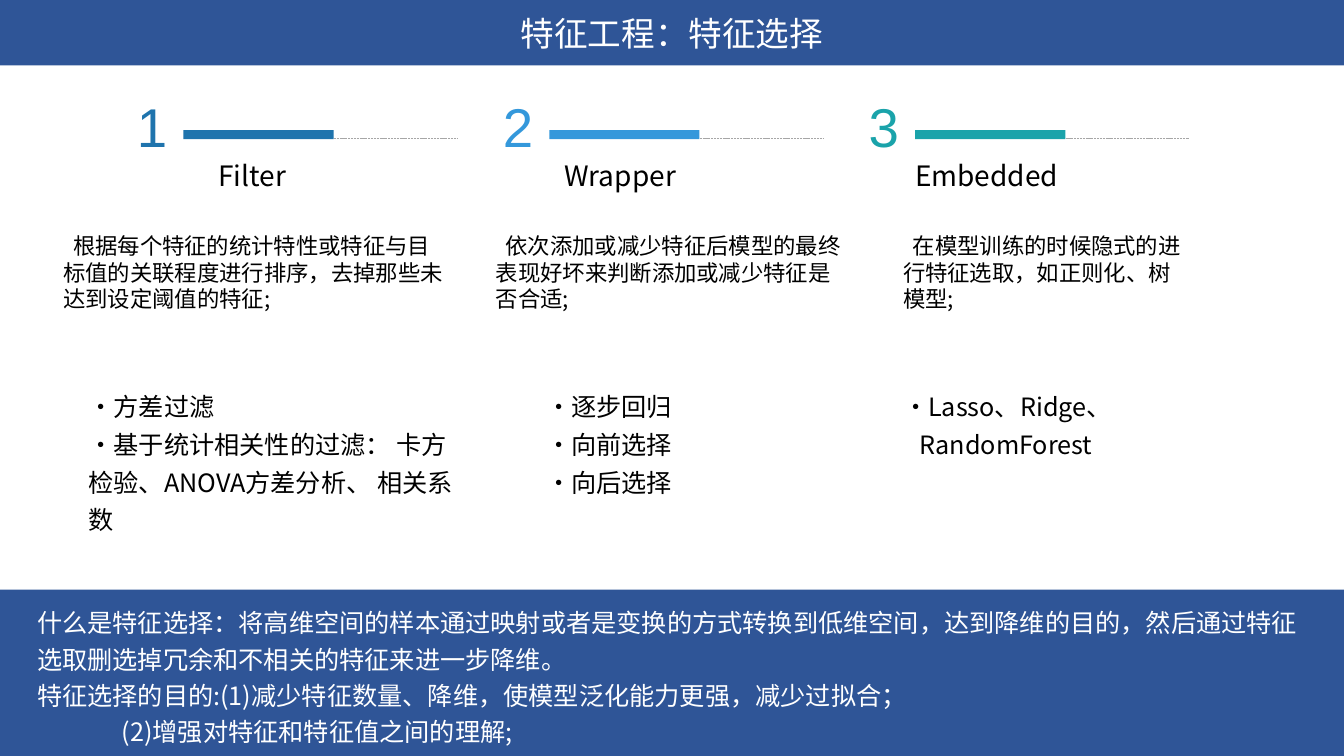
import dataclasses

import pptx
import pptx.dml.color
import pptx.enum.dml
import pptx.enum.shapes
import pptx.enum.text
import pptx.oxml.ns
import pptx.util

Pt = pptx.util.Pt
RGB = pptx.dml.color.RGBColor.from_string
ALIGN = pptx.enum.text.PP_ALIGN
ANCHOR = pptx.enum.text.MSO_ANCHOR
qn = pptx.oxml.ns.qn


@dataclasses.dataclass(frozen=True)
class Theme:
    band: str = "2F5597"
    light: str = "FFFFFF"
    dark: str = "000000"
    rule: str = "A6A6A6"
    font: str = "Noto Sans CJK SC"
    number_font: str = "Arial"
    title: int = 24
    number: int = 39
    heading: int = 20
    body: int = 18
    summary: int = 16


THEME = Theme()
WIDTH, HEIGHT = 960, 540
COLUMN_LEFT, COLUMN_TOP, COLUMN_PITCH = 90.72, 46.8, 261.36

# Per column: (offset from the column's left edge, width) of each text
COLUMNS = [
    dict(number="1", color="1F74AD", name="Filter", name_at=(58.3, 67),
         summary="根据每个特征的统计特性或特征与目标值的关联程度进行排序，去掉那些未达到设定阈值的特征;",
         summary_at=(-52.6, 288.7),
         methods=[("·方差过滤", 0),
                  ("·基于统计相关性的过滤： 卡方检验、ANOVA方差分析、 相关系数", 0)],
         methods_at=(-34.6, 277.9)),
    dict(number="2", color="3498DB", name="Wrapper", name_at=(43.9, 99.4),
         summary="依次添加或减少特征后模型的最终表现好坏来判断添加或减少特征是否合适;",
         summary_at=(-5, 267.1),
         methods=[("·逐步回归", 0), ("·向前选择", 0), ("·向后选择", 0)],
         methods_at=(31, 125.3)),
    dict(number="3", color="1AA3AA", name="Embedded", name_at=(33.1, 122.4),
         summary="在模型训练的时候隐式的进行特征选取，如正则化、树模型;",
         summary_at=(24.5, 215.3),
         methods=[("·Lasso、Ridge、", 0), ("RandomForest", 12)],
         methods_at=(24.5, 180.7)),
]
PURPOSE = [
    ("什么是特征选择：将高维空间的样本通过映射或者是变换的方式转换到低维空间，达到降维的目的，"
     "然后通过特征选取删选掉冗余和不相关的特征来进一步降维。", 0),
    ("特征选择的目的:(1)减少特征数量、降维，使模型泛化能力更强，减少过拟合；", 0),
    ("(2)增强对特征和特征值之间的理解;", 60.5),
]


def add_run(paragraph, text, size, color, font=THEME.font):
    run = paragraph.add_run()
    run.text = text
    run.font.size = Pt(size)
    run.font.name = font
    run.font.color.rgb = RGB(color)
    properties = run.font._element
    east_asian = properties.makeelement(qn("a:ea"), {"typeface": font})
    properties.find(qn("a:latin")).addnext(east_asian)
    return run


def add_text(slide, box, lines, size, color=THEME.dark, spacing=1.0):
    """Lines are pairs of text and first-line indent."""
    frame = slide.shapes.add_textbox(*map(Pt, box)).text_frame
    frame.word_wrap = True
    for index, (text, indent) in enumerate(lines):
        paragraph = frame.add_paragraph() if index else frame.paragraphs[0]
        paragraph.line_spacing = spacing
        if indent:
            paragraph._p.get_or_add_pPr().set("indent", str(Pt(indent)))
        add_run(paragraph, text, size, color)


def add_block(slide, box, color):
    block = slide.shapes.add_shape(
        pptx.enum.shapes.MSO_SHAPE.RECTANGLE, *map(Pt, box))
    block.shadow.inherit = False
    block.fill.solid()
    block.fill.fore_color.rgb = RGB(color)
    block.line.fill.background()


def add_dashed_rule(slide, left, top, width):
    rule = slide.shapes.add_connector(
        pptx.enum.shapes.MSO_CONNECTOR.STRAIGHT,
        Pt(left), Pt(top), Pt(left + width), Pt(top))
    rule.line.color.rgb = RGB(THEME.rule)
    rule.line.width = Pt(0.5)
    rule.line.dash_style = pptx.enum.dml.MSO_LINE.SQUARE_DOT
    properties = rule._element.spPr
    properties.append(properties.makeelement(qn("a:effectLst"), {}))


def add_number(slide, left, top, number, color):
    frame = slide.shapes.add_textbox(
        Pt(left), Pt(top), Pt(23.8), Pt(76.3)).text_frame
    frame.word_wrap = True
    frame.vertical_anchor = ANCHOR.MIDDLE
    paragraph = frame.paragraphs[0]
    paragraph.alignment = ALIGN.CENTER
    paragraph.line_spacing = 1.2
    run = add_run(paragraph, number, THEME.number, color, THEME.number_font)
    run.font._element.set("spc", "150")


def fill_title(slide, box):
    title = slide.shapes.title
    title.left, title.top, title.width, title.height = map(Pt, box)
    title.fill.solid()
    title.fill.fore_color.rgb = RGB(THEME.band)
    frame = title.text_frame
    frame.auto_size = pptx.enum.text.MSO_AUTO_SIZE.NONE
    frame.vertical_anchor = ANCHOR.MIDDLE
    frame.paragraphs[0].alignment = ALIGN.CENTER
    add_run(frame.paragraphs[0], "特征工程：特征选择", THEME.title, THEME.light)


def add_column(slide, left, top, column):
    # Number with its bar and dashed rule
    add_dashed_rule(slide, left + 100.8, top + 51.8, 135.4)
    add_block(slide, (left + 40.3, top + 46.1, 107.3, 6.5), column["color"])
    add_number(slide, left, top, column["number"], column["color"])

    # Name, summary and methods
    def place(key, offset, height):
        shift, width = column[key]
        return left + shift, top + offset, width, height

    add_text(slide, place("name_at", 62.6, 31.7),
             [(column["name"], 0)], THEME.heading)
    add_text(slide, place("summary_at", 115.2, 65.5),
             [(column["summary"], 7)], THEME.summary)
    add_text(slide, place("methods_at", 223.9, 116),
             column["methods"], THEME.body, spacing=1.25)


def add_purpose(slide, box):
    left, top, width, height = box
    add_block(slide, box, THEME.band)
    add_text(slide, (left + 19.4, top + 5, width - 38.4, height - 10),
             PURPOSE, THEME.body, THEME.light, 1.2)


def main():
    deck = pptx.Presentation()
    deck.slide_width, deck.slide_height = Pt(WIDTH), Pt(HEIGHT)
    slide = deck.slides.add_slide(deck.slide_layouts[5])
    fill_title(slide, (0, 0, WIDTH, 46.8))
    for index, column in enumerate(COLUMNS):
        add_column(slide, COLUMN_LEFT + index * COLUMN_PITCH, COLUMN_TOP, column)
    add_purpose(slide, (0, 421.2, WIDTH, 121.7))
    deck.save("out.pptx")


if __name__ == "__main__":
    main()
